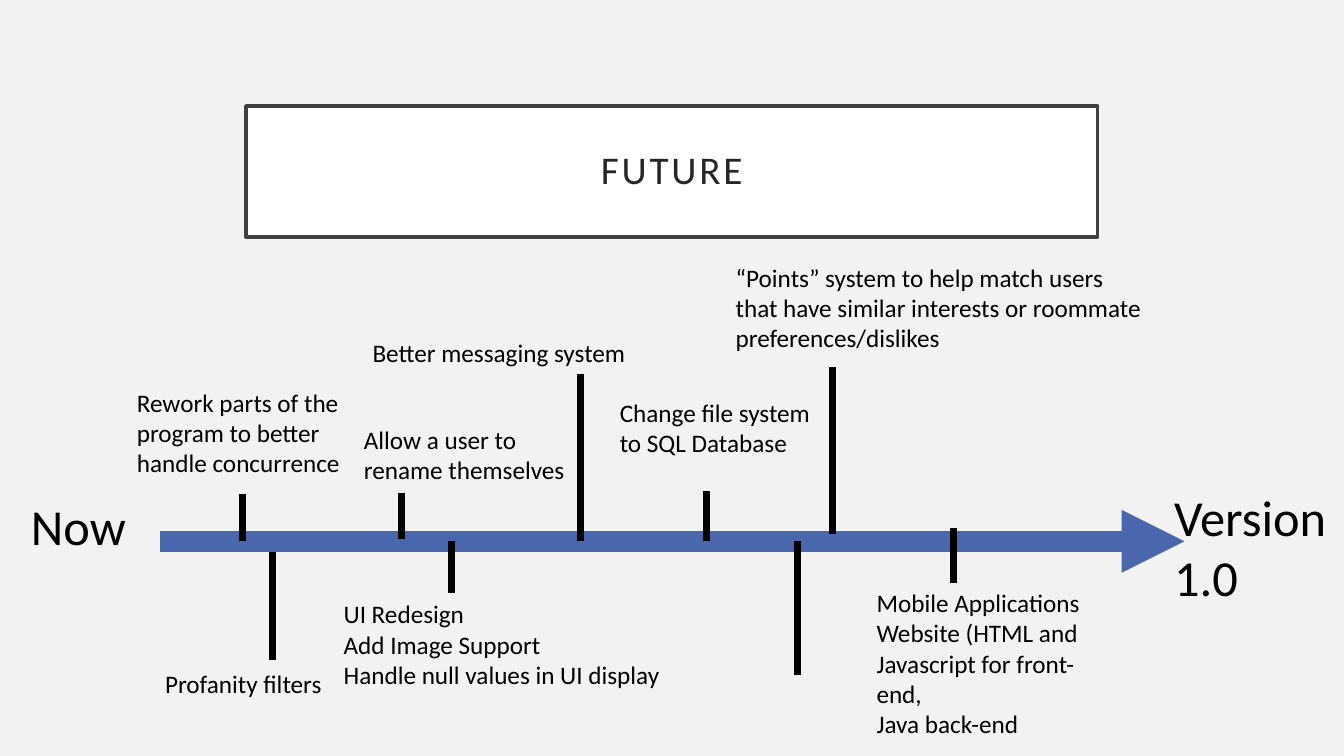
from dataclasses import dataclass

import lxml.etree
import pptx
import pptx.dml.color
import pptx.enum.shapes
import pptx.enum.text
import pptx.oxml.ns
import pptx.util

FONT = "Calibri"
BLACK = "000000"
AXIS_Y = 13.64
NOTE_WIDTH = 5.82


@dataclass
class Tick:
    x: float
    top: float
    bottom: float


@dataclass
class Label:
    left: float
    top: float
    width: float
    height: float
    lines: tuple[str, ...]
    size: int = 18


FILTER_TICK = Tick(6.86, 13.59, 16.64)

TICKS = [
    Tick(6.1, 12.45, AXIS_Y),
    Tick(11.38, AXIS_Y, 14.94),
    Tick(17.81, 12.37, AXIS_Y),
    Tick(24.03, 13.31, 14.68),
    Tick(20.09, AXIS_Y, 17.02),
    Tick(14.63, 9.42, AXIS_Y),
    Tick(10.11, 12.42, 13.59),
    Tick(20.98, 9.25, 13.46),
]

LABELS = [
    Label(8.41, 14.96, 8.56, 2.57,
          ("UI Redesign", "Add Image Support", "Handle null values in UI display")),
    Label(15.37, 9.88, NOTE_WIDTH, 1.8, ("Change file system to SQL Database",)),
    Label(3.2, 9.63, NOTE_WIDTH, 2.57,
          ("Rework parts of the program to better handle concurrence",)),
    Label(21.84, 14.68, NOTE_WIDTH, 4.11,
          ("Mobile Applications", "Website (HTML and Javascript for front-end,",
           "Java back-end")),
    Label(9.14, 8.38, 9.75, 1.02, ("Better messaging system",)),
    Label(8.92, 10.57, NOTE_WIDTH, 1.8, ("Allow a user to rename themselves",)),
    Label(3.91, 16.71, 5.08, 1.02, ("Profanity filters",)),
    Label(18.29, 6.48, 10.87, 2.57,
          ("“Points” system to help match users that have similar interests "
           "or roommate preferences/dislikes",)),
    Label(0.53, 12.34, 3.38, 1.8, ("Now",), 36),
    Label(29.34, 12.12, NOTE_WIDTH, 3.33, ("Version 1.0",), 36),
]


def paint(color_format, value: str) -> None:
    color_format.rgb = pptx.dml.color.RGBColor.from_string(value)


def add_span(para, text: str, size: int, color: str):
    span = para.add_run()
    span.text = text
    span.font.name = FONT
    span.font.size = pptx.util.Pt(size)
    paint(span.font.color, color)
    return span


def draw_line(page, x1: float, y1: float, x2: float, y2: float,
              color: str, width: float):
    line = page.shapes.add_connector(
        pptx.enum.shapes.MSO_CONNECTOR.STRAIGHT,
        *(pptx.util.Cm(value) for value in (x1, y1, x2, y2)))
    paint(line.line.color, color)
    line.line.width = pptx.util.Pt(width)
    lxml.etree.SubElement(line._element.spPr, pptx.oxml.ns.qn("a:effectLst"))
    return line


def draw_tick(page, tick: Tick) -> None:
    draw_line(page, tick.x, tick.top, tick.x, tick.bottom, BLACK, 5)


def draw_axis(page) -> None:
    axis = draw_line(page, 4.04, AXIS_Y, 29.85, AXIS_Y, "4A66AC", 15)
    outline = axis.line._get_or_add_ln()
    lxml.etree.SubElement(outline, pptx.oxml.ns.qn("a:tailEnd"), type="triangle")


def draw_label(page, label: Label) -> None:
    box = page.shapes.add_textbox(
        *(pptx.util.Cm(value)
          for value in (label.left, label.top, label.width, label.height)))
    frame = box.text_frame
    frame.word_wrap = True
    frame.auto_size = pptx.enum.text.MSO_AUTO_SIZE.SHAPE_TO_FIT_TEXT
    for index, text in enumerate(label.lines):
        para = frame.add_paragraph() if index else frame.paragraphs[0]
        add_span(para, text, label.size, BLACK)


def draw_title(page) -> None:
    title = page.shapes.title
    title.left, title.top = pptx.util.Cm(6.2), pptx.util.Cm(2.67)
    title.width, title.height = pptx.util.Cm(21.46), pptx.util.Cm(3.3)
    title.fill.solid()
    paint(title.fill.fore_color, "FFFFFF")
    paint(title.line.color, "404040")
    title.line.width = pptx.util.Pt(2.5)
    frame = title.text_frame
    frame.word_wrap = True
    frame.auto_size = pptx.enum.text.MSO_AUTO_SIZE.NONE
    frame.vertical_anchor = pptx.enum.text.MSO_ANCHOR.MIDDLE
    frame.margin_left = frame.margin_right = pptx.util.Cm(0.51)
    frame.margin_top = frame.margin_bottom = pptx.util.Cm(0.51)
    para = frame.paragraphs[0]
    para.alignment = pptx.enum.text.PP_ALIGN.CENTER
    para.line_spacing = 0.9
    span = add_span(para, "FUTURE", 28, "262626")
    span.font._element.set("spc", "200")


def main() -> None:
    deck = pptx.Presentation()
    deck.slide_width = pptx.util.Cm(33.87)
    deck.slide_height = pptx.util.Cm(19.05)
    page = deck.slides.add_slide(deck.slide_layouts.get_by_name("Title Only"))
    page.background.fill.solid()
    paint(page.background.fill.fore_color, "F2F2F2")
    draw_title(page)
    draw_tick(page, FILTER_TICK)
    draw_axis(page)
    for tick in TICKS:
        draw_tick(page, tick)
    for label in LABELS:
        draw_label(page, label)
    deck.save("out.pptx")


if __name__ == "__main__":
    main()
